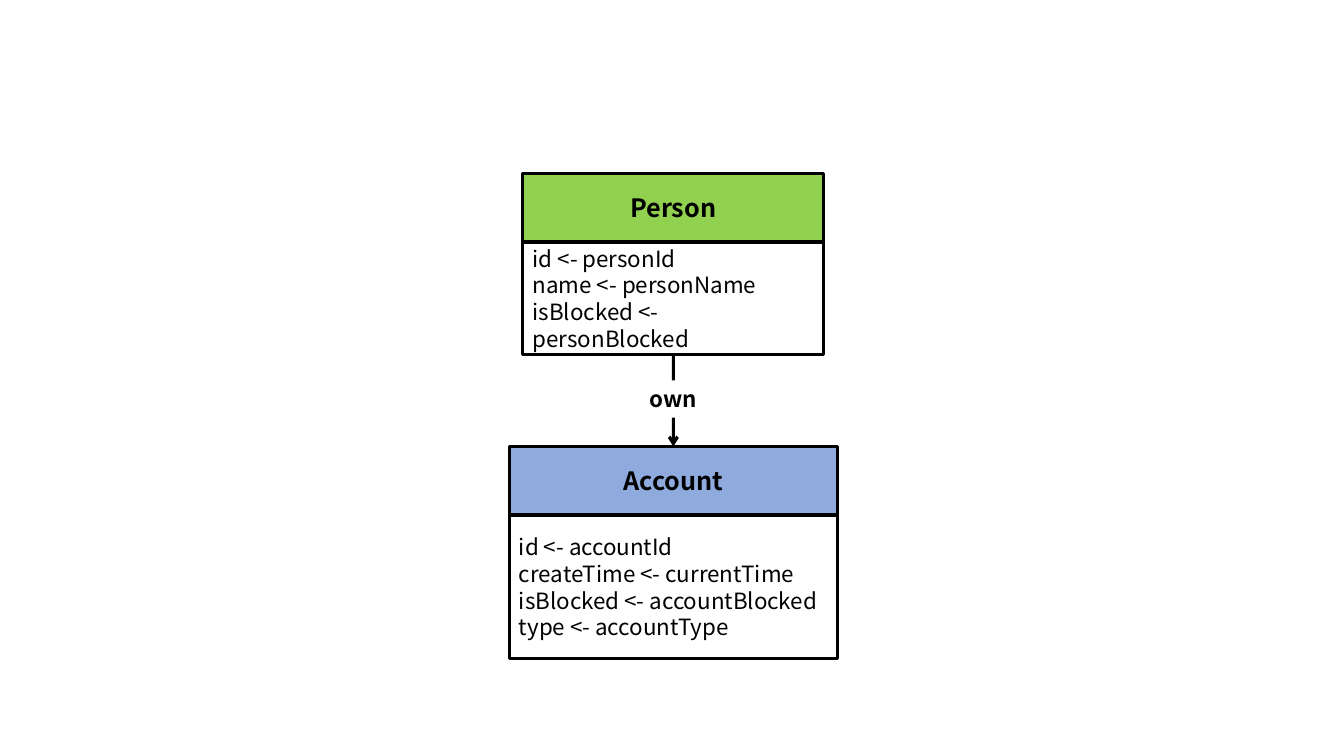
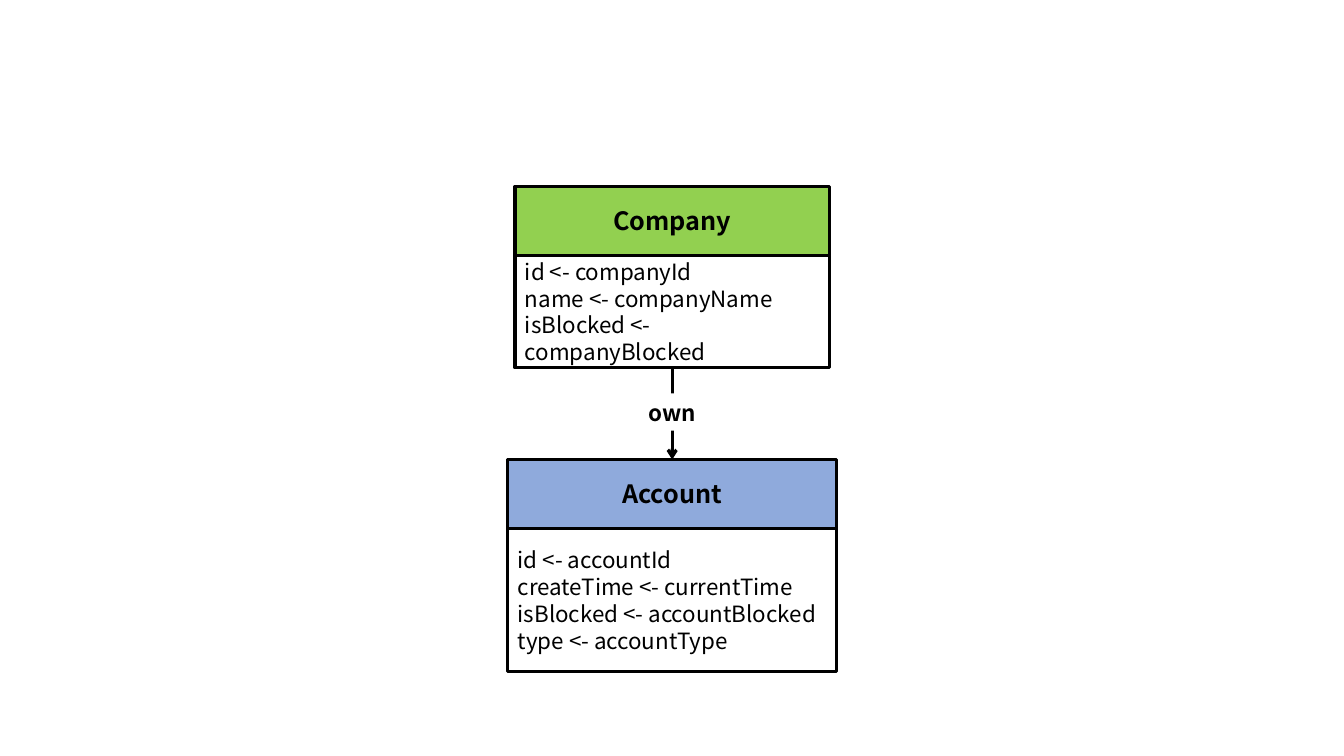
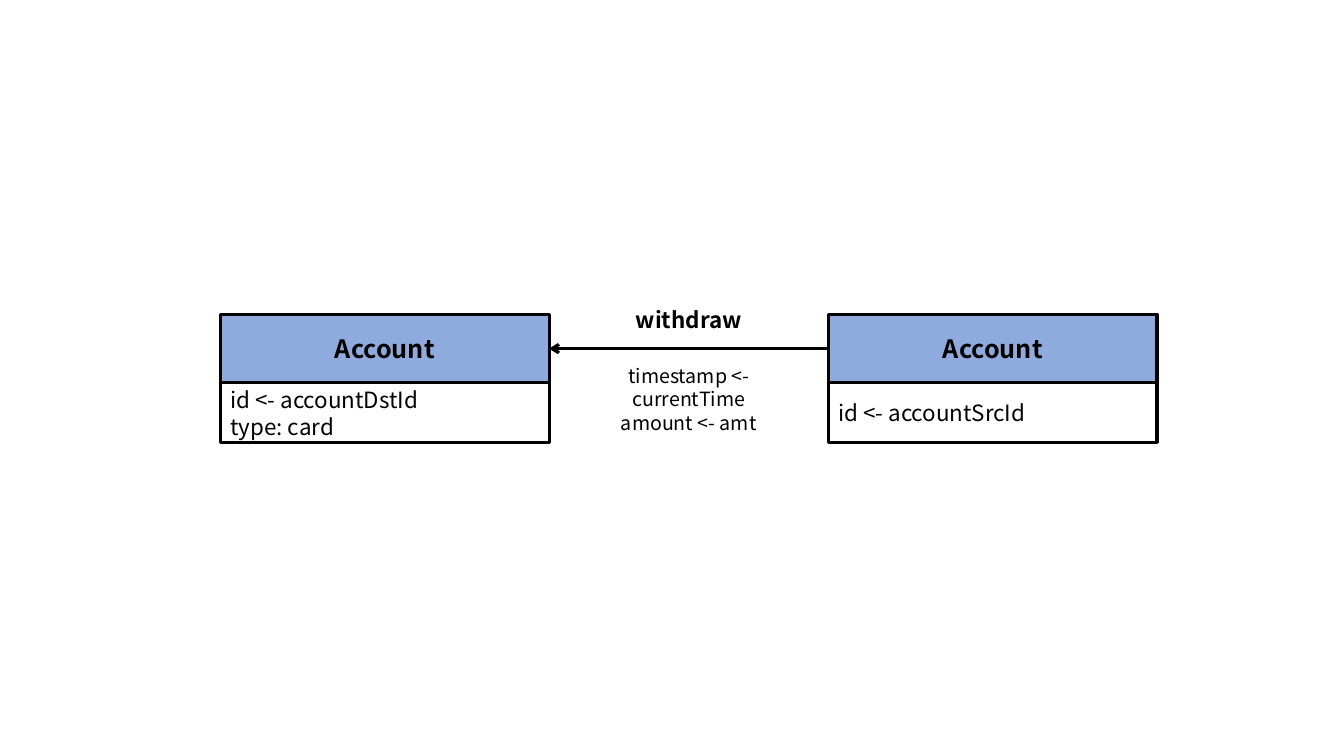
from lxml.etree import SubElement
from pptx import Presentation
from pptx.dml.color import RGBColor
from pptx.enum.shapes import MSO_CONNECTOR, MSO_SHAPE
from pptx.enum.text import MSO_ANCHOR, PP_ALIGN
from pptx.oxml.ns import qn
from pptx.util import Cm, Pt

FONT = "Noto Sans CJK SC"
BLACK, WHITE, GREEN, BLUE = "000000", "FFFFFF", "92D050", "8FAADC"
LINE_WIDTH = Pt(2.25)

# Lengths in centimetres
HEADER_HEIGHT = 1.73
ACCOUNT_WIDTH = 8.28
OWNER_BODY, ACCOUNT_BODY, TRANSFER_BODY = 2.84, 3.61, 1.5
OWNER_GAP, TRANSFER_GAP = 2.31, 7.04
LABEL_HEIGHT = 0.94
TRANSFER_LEFT, TRANSFER_TOP = 5.56, 7.92

ACCOUNT_FIELDS = ["id <- accountId", "createTime <- currentTime",
                  "isBlocked <- accountBlocked", "type <- accountType"]
OWNERSHIPS = [
    {"owner": "Person", "width": 7.59, "axis": 16.97, "top": 4.37,
     "fields": ["id <- personId", "name <- personName", "isBlocked <- personBlocked"]},
    {"owner": "Company", "width": 7.92, "axis": 16.94, "top": 4.7,
     "fields": ["id <- companyId", "name <- companyName", "isBlocked <- companyBlocked"]},
]
DESTINATION_FIELDS = ["id <- accountDstId", "type: card"]
SOURCE_FIELDS = ["id <- accountSrcId"]
WITHDRAW_FIELDS = ["timestamp <- currentTime", "amount <- amt"]


def color(value):
    """Turn a hex string into a colour."""
    return RGBColor.from_string(value)


def write(shape, lines, size, bold=False, align=PP_ALIGN.CENTER, anchor=MSO_ANCHOR.MIDDLE):
    """Write one paragraph per line into a shape."""
    frame = shape.text_frame
    frame.word_wrap = True
    frame.vertical_anchor = anchor
    frame.text = "\n".join(lines)
    for paragraph in frame.paragraphs:
        paragraph.alignment = align
        paragraph.font.name = FONT
        paragraph.font.size = Pt(size)
        paragraph.font.bold = bold
        paragraph.font.color.rgb = color(BLACK)


def add_box(slide, left, top, width, height, fill=None, outlined=True):
    """Add a rectangle without shadow."""
    box = slide.shapes.add_shape(MSO_SHAPE.RECTANGLE, Cm(left), Cm(top), Cm(width), Cm(height))
    box.shadow.inherit = False
    if fill:
        box.fill.solid()
        box.fill.fore_color.rgb = color(fill)
    else:
        box.fill.background()
    if outlined:
        box.line.color.rgb = color(BLACK)
        box.line.width = LINE_WIDTH
    else:
        box.line.fill.background()
    return box


def add_entity(slide, name, fields, fill, left, top, width, body_height):
    """Add a named header above its fields and return both boxes."""
    header = add_box(slide, left, top, width, HEADER_HEIGHT, fill)
    write(header, [name], 18, bold=True)
    body = add_box(slide, left, top + HEADER_HEIGHT, width, body_height)
    body.text_frame.margin_top = body.text_frame.margin_bottom = 0
    write(body, fields, 16, align=PP_ALIGN.LEFT)
    return header, body


def add_arrow(slide, start, start_site, end, end_site):
    """Connect two boxes with an open arrowhead at the end."""
    arrow = slide.shapes.add_connector(MSO_CONNECTOR.STRAIGHT, 0, 0, 0, 0)
    arrow.begin_connect(start, start_site)
    arrow.end_connect(end, end_site)
    arrow.line.color.rgb = color(BLACK)
    arrow.line.width = LINE_WIDTH
    SubElement(arrow.line._get_or_add_ln(), qn("a:tailEnd"), type="arrow")
    SubElement(arrow._element.spPr, qn("a:effectLst"))


def add_caption(slide, lines, center, top, width, height, size, bold=False):
    """Add a text box centred on a vertical axis."""
    caption = slide.shapes.add_textbox(Cm(center - width / 2), Cm(top), Cm(width), Cm(height))
    write(caption, lines, size, bold, anchor=MSO_ANCHOR.TOP)


def add_slide(presentation):
    """Add a slide on the blank layout."""
    return presentation.slides.add_slide(presentation.slide_layouts[6])


def build_ownership(slide, owner, width, axis, top, fields):
    """Stack an owner above the account it owns."""
    account_top = top + HEADER_HEIGHT + OWNER_BODY + OWNER_GAP
    account_header, _ = add_entity(slide, "Account", ACCOUNT_FIELDS, BLUE,
                                   axis - ACCOUNT_WIDTH / 2, account_top,
                                   ACCOUNT_WIDTH, ACCOUNT_BODY)
    _, owner_body = add_entity(slide, owner, fields, GREEN,
                               axis - width / 2, top, width, OWNER_BODY)
    add_arrow(slide, owner_body, 2, account_header, 0)
    label_width = 1.78
    label_top = account_top - (OWNER_GAP + LABEL_HEIGHT) / 2 - 0.04
    label = add_box(slide, axis - label_width / 2, label_top, label_width, LABEL_HEIGHT,
                    WHITE, outlined=False)
    write(label, ["own"], 16, bold=True)


def build_withdrawal(slide):
    """Draw the withdrawal from the source to the destination account."""
    source_left = TRANSFER_LEFT + ACCOUNT_WIDTH + TRANSFER_GAP
    destination, source = [
        add_entity(slide, "Account", fields, BLUE, left, TRANSFER_TOP,
                   ACCOUNT_WIDTH, TRANSFER_BODY)[0]
        for fields, left in ((DESTINATION_FIELDS, TRANSFER_LEFT), (SOURCE_FIELDS, source_left))]
    add_arrow(slide, source, 1, destination, 3)
    center = source_left - TRANSFER_GAP / 2
    add_caption(slide, ["withdraw"], center, 7.59, 5.72, LABEL_HEIGHT, 16, bold=True)
    add_caption(slide, WITHDRAW_FIELDS, center, 9.04, 6.38, 1.45, 14)


presentation = Presentation()
presentation.slide_width, presentation.slide_height = Cm(33.87), Cm(19.05)
for ownership in OWNERSHIPS:
    build_ownership(add_slide(presentation), **ownership)
build_withdrawal(add_slide(presentation))
presentation.save("out.pptx")
